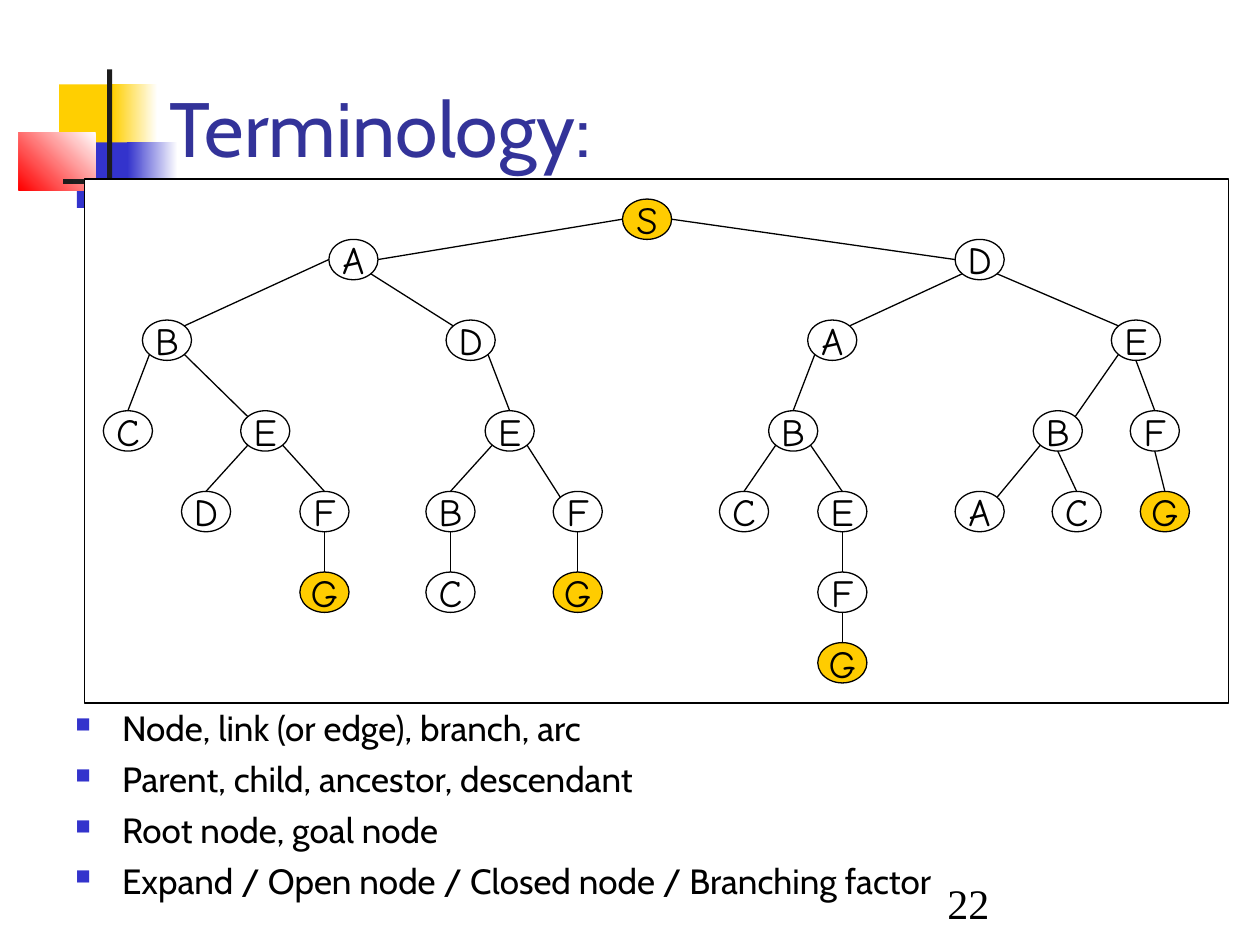
from lxml import etree
from pptx import Presentation
from pptx.dml.color import RGBColor
from pptx.enum.shapes import MSO_CONNECTOR, MSO_SHAPE
from pptx.enum.text import MSO_ANCHOR, PP_ALIGN
from pptx.oxml import parse_xml
from pptx.oxml.ns import nsdecls, qn
from pptx.util import Inches, Pt

rgb = RGBColor.from_string


def add_shape(kind, box, fill, angle=None, line=None):
    """Add a shape, solid or fading from white when an angle is given."""
    sp = s.shapes.add_shape(kind, *map(Inches, box))
    sp.shadow.inherit = False
    if angle is None:
        sp.fill.solid()
        sp.fill.fore_color.rgb = rgb(fill)
    else:
        sp.fill.gradient()
        sp.fill.gradient_angle = angle
        for stop, color in zip(sp.fill.gradient_stops, ("FFFFFF", fill)):
            stop.color.rgb = rgb(color)
    if line:
        sp.line.color.rgb = rgb(line)
        sp.line.width = Pt(0.75)
    else:
        sp.line.fill.background()
    return sp


def set_text(sp, lines, color, font, wrap=True, anchor=MSO_ANCHOR.TOP, bullet=None):
    """Write one paragraph per line, all in the same format."""
    tf = sp.text_frame
    for name, value in {"word_wrap": wrap, "vertical_anchor": anchor}.items():
        setattr(tf, name, value)
    for i, text in enumerate(lines):
        p = tf.paragraphs[0] if i == 0 else tf.add_paragraph()
        if bullet:
            pPr = p._p.get_or_add_pPr()
            pPr.set("marL", str(Inches(0.37)))
            pPr.set("indent", str(-Inches(0.37)))
            for xml in (f'<a:buClr {nsdecls("a")}><a:srgbClr val="{bullet}"/></a:buClr>',
                        f'<a:buSzPct {nsdecls("a")} val="60000"/>',
                        f'<a:buChar {nsdecls("a")} char="■"/>'):
                pPr.append(parse_xml(xml))
            if i:
                p.space_before = Pt(5)
        r = p.add_run()
        r.text = text
        r.font.color.rgb = rgb(color)
        for name, value in font.items():
            setattr(r.font, name, value)


prs = Presentation()
prs.slide_width, prs.slide_height = Inches(10), Inches(7.5)
s = prs.slides.add_slide(prs.slide_layouts[6])

# Corner decoration: box, colour, gradient angle
for box, color, angle in [
    ((0.47, 0.67, 0.48, 0.52), "FFCF01", None),
    ((0.89, 0.67, 0.36, 0.52), "FFCF01", 180),
    ((0.61, 1.13, 0.46, 0.52), "3333CC", None),
    ((1.01, 1.13, 0.4, 0.52), "3333CC", 180),
    ((0.15, 1.05, 0.61, 0.46), "FF0000", 225),
    ((0.85, 0.55, 0.04, 1.15), "1C1C1C", None),
    ((0.5, 1.42, 9, 0.04), "1C1C1C", 180),
]:
    add_shape(MSO_SHAPE.RECTANGLE, box, color, angle)

# Title
sp = s.shapes.add_textbox(*map(Inches, (1.25, 0.42, 7.83, 1)))
set_text(sp, ["Terminology:"], "333399", {"size": Pt(44), "name": "Cabin"},
         anchor=MSO_ANCHOR.BOTTOM)

# Terms
terms = [
    "Node, link (or edge), branch, arc",
    "Parent, child, ancestor, descendant",
    "Root node, goal node",
    "Expand / Open node / Closed node / Branching factor",
]
sp = s.shapes.add_textbox(*map(Inches, (0.5, 5.56, 9.08, 1.92)))
set_text(sp, terms, "000000", {"size": Pt(20), "name": "Cabin"}, bullet="3333CC")

# Tree frame
add_shape(MSO_SHAPE.RECTANGLE, (0.67, 1.42, 9.08, 4.16), "FFFFFF", line="000000")

# Tree nodes: label, left, level, parent index, side of parent, side of node
nodes = [
    ("S", 4.94, 0, None, "", ""),
    ("A", 2.61, 1, 0, "W", "E"),
    ("D", 7.58, 1, 0, "E", "W"),
    ("B", 1.13, 2, 1, "W", "NE"),
    ("D", 3.54, 2, 1, "SE", "NW"),
    ("E", 8.82, 2, 2, "SE", "NW"),
    ("A", 6.41, 2, 2, "SW", "NE"),
    ("C", 0.82, 3, 3, "SW", "N"),
    ("E", 1.91, 3, 3, "SE", "NW"),
    ("E", 3.85, 3, 4, "SE", "N"),
    ("B", 6.1, 3, 6, "SW", "N"),
    ("B", 8.2, 3, 5, "SW", "NE"),
    ("F", 8.97, 3, 5, "S", "N"),
    ("D", 1.44, 4, 8, "SW", "N"),
    ("F", 2.38, 4, 8, "SE", "N"),
    ("B", 3.38, 4, 9, "SW", "N"),
    ("F", 4.39, 4, 9, "SE", "NW"),
    ("C", 5.71, 4, 10, "SW", "N"),
    ("E", 6.49, 4, 10, "SE", "N"),
    ("A", 7.58, 4, 11, "SW", "NE"),
    ("C", 8.35, 4, 11, "S", "N"),
    ("G", 9.05, 4, 12, "S", "N"),
    ("G", 2.38, 5, 14, "S", "N"),
    ("C", 3.38, 5, 15, "S", "N"),
    ("G", 4.39, 5, 16, "S", "N"),
    ("F", 6.49, 5, 18, "S", "N"),
    ("G", 6.49, 6, 25, "S", "N"),
]
level_tops = [1.58, 1.9, 2.54, 3.26, 3.9, 4.54, 5.1]
node_w, node_h = 0.39, 0.32
for label, left, level, *_ in nodes:
    color = "FFCC00" if label in "SG" else "FFFFFF"
    sp = add_shape(MSO_SHAPE.OVAL, (left, level_tops[level], node_w, node_h),
                   color, line="000000")
    set_text(sp, [label], "000000", {"size": Pt(22), "name": "Comic Neue"},
             wrap=False, anchor=MSO_ANCHOR.MIDDLE)
    sp.text_frame.paragraphs[0].alignment = PP_ALIGN.CENTER

# Links between the sides of parent and child
for node in nodes[1:]:
    ends = []
    for (_, left, level, *_), side in ((nodes[node[3]], node[4]), (node, node[5])):
        reach = 0.71 if len(side) == 2 else 1
        dx = ("E" in side) - ("W" in side)
        dy = ("S" in side) - ("N" in side)
        ends += [Inches(left + node_w / 2 * (1 + reach * dx)),
                 Inches(level_tops[level] + node_h / 2 * (1 + reach * dy))]
    link = s.shapes.add_connector(MSO_CONNECTOR.STRAIGHT, *ends)
    link.line.color.rgb = rgb("000000")
    link.line.width = Pt(0.75)
    etree.SubElement(link._element.spPr, qn("a:effectLst"))

# Slide number
sp = s.shapes.add_textbox(*map(Inches, (7.42, 6.91, 2.08, 0.5)))
set_text(sp, ["22"], "000000", {"size": Pt(24), "name": "Times New Roman"},
         anchor=MSO_ANCHOR.BOTTOM)

prs.save("out.pptx")
